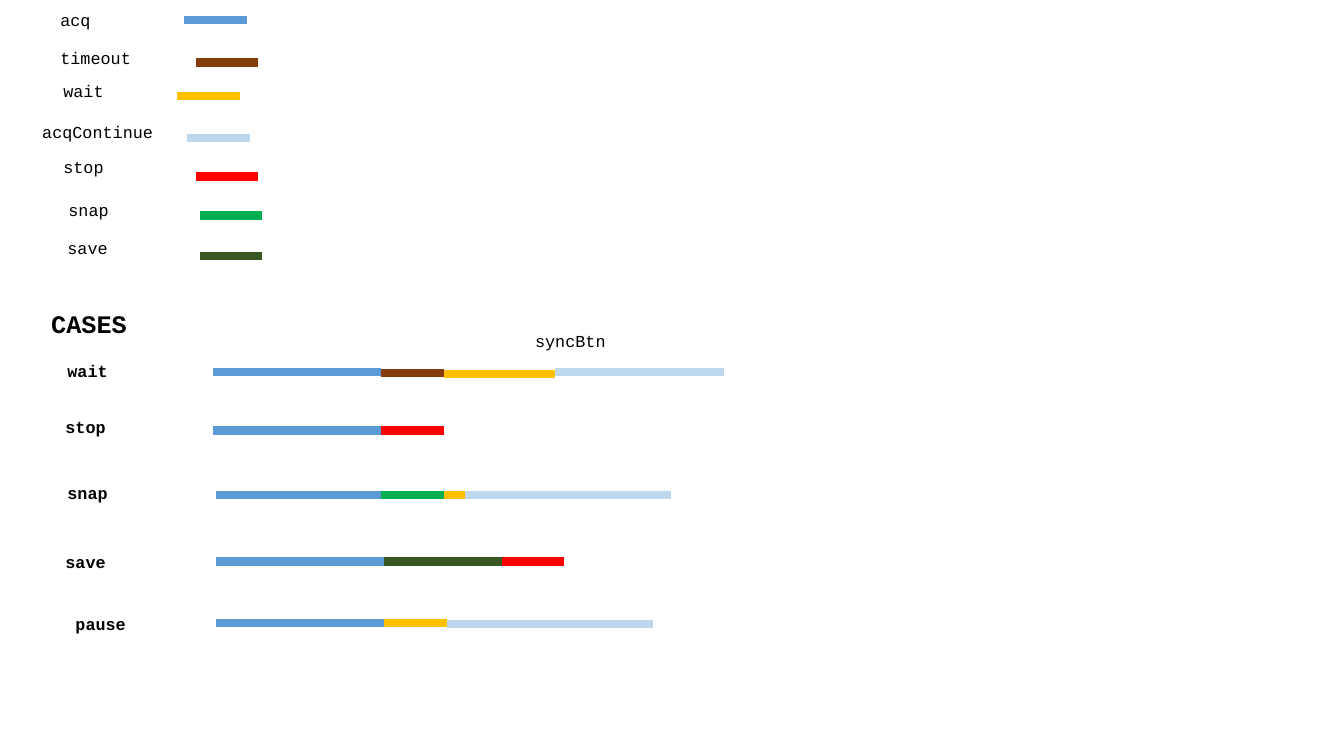
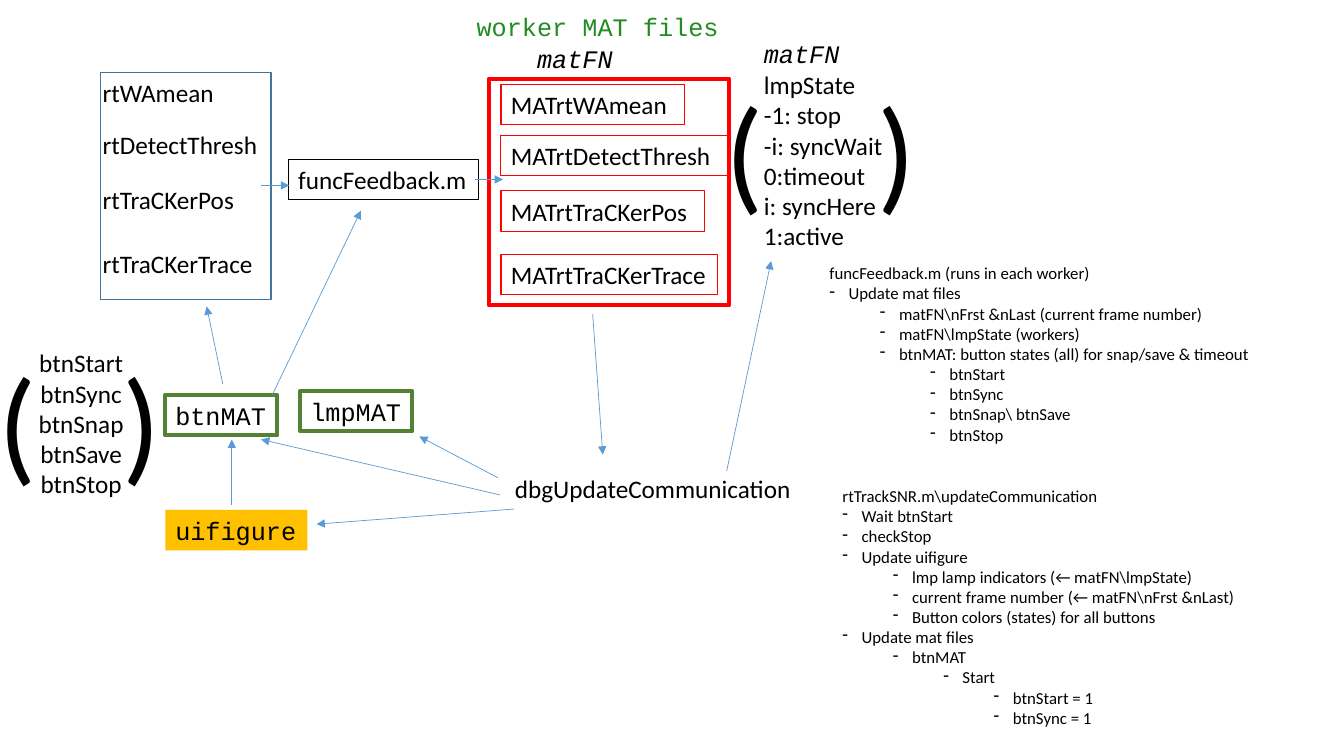
from dataclasses import dataclass
from typing import Optional, Union

from lxml.etree import SubElement
from pptx import Presentation
from pptx.dml.color import RGBColor
from pptx.enum.shapes import MSO_CONNECTOR, MSO_SHAPE
from pptx.enum.text import MSO_AUTO_SIZE, PP_ALIGN
from pptx.oxml.ns import qn
from pptx.shapes.shapetree import GroupShapes, SlideShapes
from pptx.util import Emu, Inches, Pt

# The grid has square cells: 75 rows fill the height of the slide.
SLIDE_WIDTH, SLIDE_HEIGHT = Inches(13.333), Inches(7.5)
CELL = SLIDE_HEIGHT / 75

MONO, SANS = "Courier New", "Calibri"
BLACK, RED, BLUE, ORANGE = "000000", "FF0000", "5B9BD5", "FFC000"
NAVY, OLIVE, FOREST = "43739E", "548235", "228B22"
PHASE_COLORS = {
    "acq": BLUE,
    "timeout": "843C0B",
    "wait": ORANGE,
    "acqContinue": "BDD7EE",
    "stop": RED,
    "snap": "00B050",
    "save": "385723",
}
LEGEND_BAR = 6.2
BAR_WEIGHT, ARROW_WEIGHT = 6, 0.5
INDENT_STEP, HANGING = 5, 1.9

Canvas = Union[SlideShapes, GroupShapes]


@dataclass(frozen=True)
class Label:
    """Text at a grid place; a leading tab in a line sets its outline level."""
    left: float
    top: float
    width: float
    height: float
    text: str
    font: str = SANS
    size: float = 18
    color: str = BLACK
    bold: bool = False
    italic: bool = False
    centered: bool = False
    fill: Optional[str] = None
    border: Optional[str] = None
    weight: float = 0.75


@dataclass(frozen=True)
class LegendEntry:
    """A phase name and the sample bar beside it."""
    phase: str
    left: float
    top: float
    width: float
    bar_left: float
    bar_row: float


@dataclass(frozen=True)
class Segment:
    """One phase in a case's timeline, with a small shift downwards."""
    phase: str
    length: float
    drop: float = 0


@dataclass(frozen=True)
class Case:
    """A named timeline of consecutive phases."""
    name: str
    left: float
    top: float
    width: float
    start: float
    row: float
    segments: tuple[Segment, ...]


@dataclass(frozen=True)
class Arrow:
    """A straight arrow between two grid points."""
    x1: float
    y1: float
    x2: float
    y2: float


def cells(count: float) -> Emu:
    """Convert grid cells to a length."""
    return Emu(round(count * CELL))


def rgb(color: str) -> RGBColor:
    """Turn a hex string into a colour."""
    return RGBColor.from_string(color)


def draw_line(canvas: Canvas, points: Arrow, color: str, weight: float,
              arrowhead: bool = False) -> None:
    """Draw a straight line without shadow, with an arrowhead if asked."""
    line = canvas.add_connector(
        MSO_CONNECTOR.STRAIGHT, cells(points.x1), cells(points.y1),
        cells(points.x2), cells(points.y2))
    line.line.color.rgb = rgb(color)
    line.line.width = Pt(weight)
    if arrowhead:
        SubElement(line.line._get_or_add_ln(), qn("a:tailEnd"), type="triangle")
    SubElement(line._element.spPr, qn("a:effectLst"))


def draw_bar(canvas: Canvas, phase: str, left: float, row: float,
             length: float) -> None:
    """Draw a phase as a thick horizontal bar."""
    draw_line(canvas, Arrow(left, row, left + length, row),
              PHASE_COLORS[phase], BAR_WEIGHT)


def draw_frame(canvas: Canvas, left: float, top: float, width: float,
               height: float, color: str, weight: float) -> None:
    """Draw an unfilled rectangle."""
    frame = canvas.add_shape(MSO_SHAPE.RECTANGLE, cells(left), cells(top),
                             cells(width), cells(height))
    frame.shadow.inherit = False
    frame.fill.background()
    frame.line.color.rgb = rgb(color)
    frame.line.width = Pt(weight)


def draw_label(canvas: Canvas, label: Label) -> None:
    """Draw a text box, with fill, border and dashed outline where given."""
    box = canvas.add_textbox(cells(label.left), cells(label.top),
                             cells(label.width), cells(label.height))
    if label.fill:
        box.fill.solid()
        box.fill.fore_color.rgb = rgb(label.fill)
    if label.border:
        box.line.color.rgb = rgb(label.border)
        box.line.width = Pt(label.weight)
    frame = box.text_frame
    frame.word_wrap = False
    frame.auto_size = MSO_AUTO_SIZE.SHAPE_TO_FIT_TEXT
    for index, line in enumerate(label.text.split("\n")):
        paragraph = frame.add_paragraph() if index else frame.paragraphs[0]
        paragraph.text = line.lstrip("\t")
        depth = len(line) - len(paragraph.text)
        if depth:
            paragraph.level = depth - 1
            properties = paragraph._p.get_or_add_pPr()
            margin = HANGING + INDENT_STEP * (depth - 1)
            properties.set("marL", str(cells(margin)))
            properties.set("indent", str(cells(-HANGING)))
            SubElement(properties, qn("a:buChar"), char="-")
        if label.centered:
            paragraph.alignment = PP_ALIGN.CENTER
        font = paragraph.font
        font.name, font.size = label.font, Pt(label.size)
        font.bold, font.italic = label.bold, label.italic
        font.color.rgb = rgb(label.color)


def draw_parentheses(canvas: Canvas, left: float, top: float, width: float,
                     closing: float) -> None:
    """Draw a large pair of parentheses, the closing one at a tab stop."""
    box = canvas.add_textbox(cells(left), cells(top), cells(width), cells(16.2))
    box.text_frame.word_wrap = True
    paragraph = box.text_frame.paragraphs[0]
    paragraph.text = "(\t)"
    stops = SubElement(paragraph._p.get_or_add_pPr(), qn("a:tabLst"))
    SubElement(stops, qn("a:tab"), pos=str(cells(closing)), algn="l")
    paragraph.font.name, paragraph.font.size = SANS, Pt(90)
    paragraph.font.color.rgb = rgb(BLACK)


LEGEND = (
    LegendEntry("acq", 5, 0.5, 5.1, 18.3, 2),
    LegendEntry("timeout", 5, 4.2, 9.1, 19.4, 6.2),
    LegendEntry("wait", 5.3, 7.5, 6.1, 17.6, 9.5),
    LegendEntry("acqContinue", 3.2, 11.6, 13.2, 18.6, 13.7),
    LegendEntry("stop", 5.3, 15.1, 6.1, 19.4, 17.5),
    LegendEntry("snap", 5.8, 19.3, 6.1, 19.8, 21.4),
    LegendEntry("save", 5.7, 23.1, 6.1, 19.8, 25.4),
)
CASES = (
    Case("wait", 5.7, 35.3, 6.1, 21.1, 36.9, (
        Segment("acq", 16.7), Segment("timeout", 6.2, 0.1),
        Segment("wait", 11.1, 0.2), Segment("acqContinue", 16.7))),
    Case("stop", 5.5, 40.9, 6.1, 21.1, 42.7, (
        Segment("acq", 16.7), Segment("stop", 6.2))),
    Case("snap", 5.7, 47.4, 6.1, 21.4, 49.1, (
        Segment("acq", 16.4), Segment("snap", 6.2),
        Segment("wait", 2.1), Segment("acqContinue", 20.5))),
    Case("save", 5.5, 54.2, 6.1, 21.4, 55.7, (
        Segment("acq", 16.7), Segment("save", 11.7), Segment("stop", 6.2))),
    Case("pause", 6.5, 60.4, 7.1, 21.4, 61.8, (
        Segment("acq", 16.7), Segment("wait", 6.2),
        Segment("acqContinue", 20.5, 0.1))),
)

# Name, top, and width of its box in the worker column and the MAT file column.
ROUTINES = (
    ("rtWAmean", 7.2, 13.7, 18.2),
    ("rtDetectThresh", 12.3, 18.1, 22.6),
    ("rtTraCKerPos", 17.8, 15.7, 20.2),
    ("rtTraCKerTrace", 24.1, 17, 21.5),
)
BUTTONS = Label(2.8, 34, 10.5, 16.2,
                "btnStart\nbtnSync\nbtnSnap\nbtnSave\nbtnStop", centered=True)
LAMP_STATES = (
    Label(74.8, 6.4, 14.5, 19.2, "lmpState\n-1: stop\n-i: syncWait\n"
          "0:timeout\ni: syncHere\n1:active"),
    Label(74.8, 3.3, 9.6, 4, "matFN", MONO, italic=True),
)
NODES = (
    Label(16.4, 39.2, 11.1, 4, "btnMAT", MONO, border=OLIVE, weight=3),
    Label(29.8, 38.8, 11.1, 4, "lmpMAT", MONO, border=OLIVE, weight=3),
    Label(16.4, 50.6, 14.1, 4, "uifigure", MONO, fill=ORANGE),
    Label(28.6, 15.8, 18.9, 4, "funcFeedback.m", border=BLACK),
    Label(50.1, 46.5, 30.3, 4, "dbgUpdateCommunication"),
    Label(52.3, 3.8, 9.6, 4, "matFN", MONO, italic=True),
    Label(46.3, 0.6, 26.1, 4, "worker MAT files", MONO, color=FOREST),
)
ARROWS = (
    Arrow(27, 39.2, 35.8, 20.9),
    Arrow(58.8, 31.2, 59.8, 45.1),
    Arrow(51, 50.5, 31.4, 52),
    Arrow(23, 50.1, 23, 43.6),
    Arrow(49.4, 47.4, 41.6, 43.3),
    Arrow(25.9, 18.4, 28.7, 18.4),
    Arrow(47.1, 17.8, 49.9, 17.8),
    Arrow(22.1, 38.1, 20.5, 30.4),
    Arrow(49.6, 49.1, 25.9, 43.6),
    Arrow(72.1, 46.7, 76.5, 25.9),
)
OUTLINES = (
    Label(81.3, 25.6, 44.1, 25.2, """funcFeedback.m (runs in each worker)
\tUpdate mat files
\t\tmatFN\\nFrst &nLast (current frame number)
\t\tmatFN\\lmpState (workers)
\t\tbtnMAT: button states (all) for snap/save & timeout
\t\t\tbtnStart
\t\t\tbtnSync
\t\t\tbtnSnap\\ btnSave
\t\t\tbtnStop""", size=12),
    Label(82.6, 47.7, 41.3, 27.3, """rtTrackSNR.m\\updateCommunication
\tWait btnStart
\tcheckStop
\tUpdate uifigure
\t\tlmp lamp indicators (← matFN\\lmpState)
\t\tcurrent frame number (← matFN\\nFrst &nLast)
\t\tButton colors (states) for all buttons
\tUpdate mat files
\t\tbtnMAT
\t\t\tStart
\t\t\t\tbtnStart = 1
\t\t\t\tbtnSync = 1""", size=12),
)


def build_timelines(canvas: Canvas) -> None:
    """Draw the legend of phases and the timeline of each case."""
    for entry in LEGEND:
        draw_label(canvas, Label(entry.left, entry.top, entry.width, 3,
                                 entry.phase, MONO, 12))
        draw_bar(canvas, entry.phase, entry.bar_left, entry.bar_row, LEGEND_BAR)
    draw_label(canvas, Label(4.1, 30.1, 9.6, 4, "CASES", MONO, bold=True))
    draw_label(canvas, Label(52.1, 32.3, 9.1, 3, "syncBtn", MONO, 12))
    for case in CASES:
        draw_label(canvas, Label(case.left, case.top, case.width, 3,
                                 case.name, MONO, 12, bold=True))
        start = case.start
        for segment in case.segments:
            draw_bar(canvas, segment.phase, start, case.row + segment.drop,
                     segment.length)
            start += segment.length


def build_data_flow(canvas: Canvas) -> None:
    """Draw the routines, their MAT files and what passes between them."""
    buttons = canvas.add_group_shape().shapes
    draw_label(buttons, BUTTONS)
    draw_parentheses(buttons, -1.1, 33.6, 18.2, 12.3)
    workers = canvas.add_group_shape().shapes
    mat_files = canvas.add_group_shape().shapes
    for name, top, width, file_width in ROUTINES:
        draw_label(workers, Label(9.2, top, width, 4, name))
        draw_label(mat_files, Label(49.7, top + 1.15, file_width, 4,
                                    f"MAT{name}", border=RED))
    draw_frame(workers, 10, 7.2, 16.9, 22.5, NAVY, 1)
    draw_frame(mat_files, 48.5, 7.8, 23.8, 22.5, RED, 3)
    for node in NODES:
        draw_label(canvas, node)
    for arrow in ARROWS:
        draw_line(canvas, arrow, BLUE, ARROW_WEIGHT, arrowhead=True)
    lamp = canvas.add_group_shape().shapes
    draw_parentheses(lamp, 71, 6.7, 21.1, 15.1)
    for label in LAMP_STATES:
        draw_label(lamp, label)
    for outline in OUTLINES:
        draw_label(canvas, outline)


deck = Presentation()
deck.slide_width, deck.slide_height = SLIDE_WIDTH, SLIDE_HEIGHT
blank_layout = deck.slide_layouts.get_by_name("Blank")
for build in (build_timelines, build_data_flow):
    build(deck.slides.add_slide(blank_layout).shapes)
deck.save("out.pptx")
